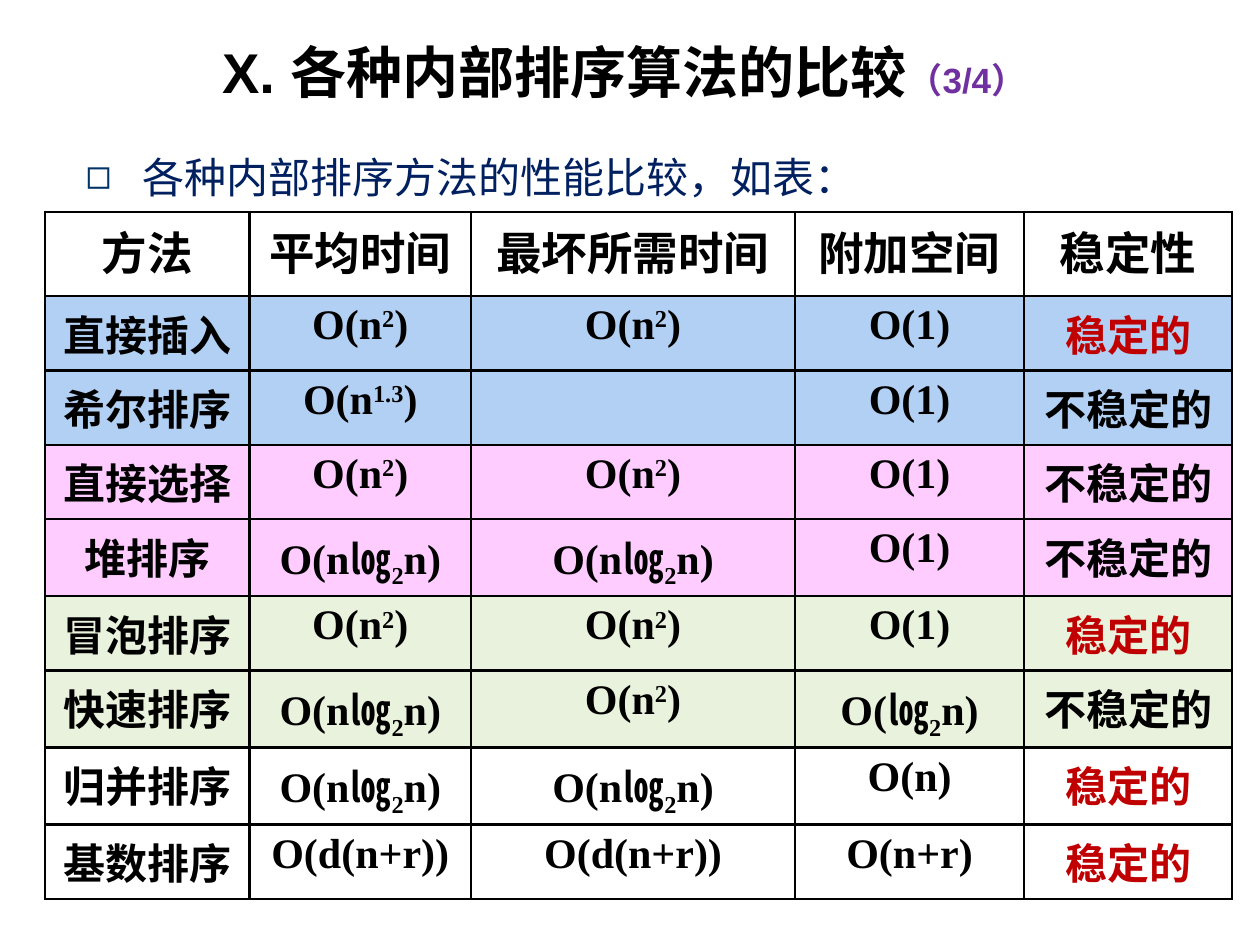
"""Build a slide with a table comparing internal sorting algorithms."""
from lxml.etree import SubElement
from pptx import Presentation
from pptx.dml.color import RGBColor
from pptx.enum.text import MSO_ANCHOR, MSO_AUTO_SIZE, PP_ALIGN
from pptx.oxml.ns import qn
from pptx.util import Inches, Pt

THEME = {
    "heading": "Arial", "cell": "Times New Roman",
    "black": "000000", "white": "FFFFFF", "purple": "7030A0", "navy": "002060",
    "bullet": "003366", "red": "C00000", "blue": "B2D0F3", "pink": "FFCCFF", "green": "E9F2DC",
    "title_size": 32, "page_size": 20, "body_size": 24, "header_size": 26, "border": 1.5,
}
BASELINES = {"^": "28000", "_": "-25000"}
N2, NLOG, ONE = "O(n|^2|)", "O(n㏒|_2|n)", "O(1)"
STABLE, UNSTABLE = "稳定的", "不稳定的"
ROWS = [
    ("white", "方法", "平均时间", "最坏所需时间", "附加空间", "稳定性"),
    ("blue", "直接插入", N2, N2, ONE, STABLE),
    ("blue", "希尔排序", "O(n|^1.3|)", "", ONE, UNSTABLE),
    ("pink", "直接选择", N2, N2, ONE, UNSTABLE),
    ("pink", "堆排序", NLOG, NLOG, ONE, UNSTABLE),
    ("green", "冒泡排序", N2, N2, ONE, STABLE),
    ("green", "快速排序", NLOG, N2, "O(㏒|_2|n)", UNSTABLE),
    ("white", "归并排序", NLOG, NLOG, "O(n)", STABLE),
    ("white", "基数排序", "O(d(n+r))", "O(d(n+r))", "O(n+r)", STABLE),
]
COL_SHARES = [16.2, 17.6, 25.7, 18.2, 16.5]
ROW_SHARES = [8.93] + [7.87] * 8


def style(font, face, size, color, bold):
    font.name, font.size, font.bold = THEME[face], Pt(THEME[size]), bold
    font.color.rgb = RGBColor.from_string(THEME[color])


def box(left, top, width, height):
    return [int(share * side / 100) for share, side in zip((left, top, width, height), (W, H, W, H))]


prs = Presentation()
prs.slide_width, prs.slide_height = W, H = Inches(10), Inches(7.5)
s = prs.slides.add_slide(prs.slide_layouts[1])
title, body = s.placeholders

title.left, title.top, title.width, title.height = box(10.8, 4, 77.5, 7.07)
tf = title.text_frame
tf.auto_size, tf.vertical_anchor = MSO_AUTO_SIZE.NONE, MSO_ANCHOR.MIDDLE
p = tf.paragraphs[0]
p.alignment = PP_ALIGN.CENTER
for text, size, color in [("X. 各种内部排序算法的比较", "title_size", "black"), ("（3/4）", "page_size", "purple")]:
    r = p.add_run()
    r.text = text
    style(r.font, "heading", size, color, True)

body.left, body.top, body.width, body.height = box(5.8, 14.27, 89.6, 79.07)
tf = body.text_frame
tf.auto_size = MSO_AUTO_SIZE.NONE
p = tf.paragraphs[0]
p.text = " 各种内部排序方法的性能比较，如表："
p.line_spacing, p.space_before = 1.2, Pt(12)
style(p.font, "heading", "body_size", "navy", False)
pPr = p._p.get_or_add_pPr()
pPr.set("marL", str(Inches(0.38)))
pPr.set("indent", str(-Inches(0.38)))
bullet_color = pPr.makeelement(qn("a:buClr"))
SubElement(bullet_color, qn("a:srgbClr"), val=THEME["bullet"])
bullet = pPr.makeelement(qn("a:buChar"), char="◻")
for el in (bullet_color, bullet):
    pPr.find(qn("a:defRPr")).addprevious(el)

table = s.shapes.add_table(len(ROWS), len(COL_SHARES), *box(3.6, 22.4, 94.2, 72)).table
table.first_row = table.horz_banding = False
for column, share in zip(table.columns, COL_SHARES):
    column.width = int(W * share / 100)
for row, share in zip(table.rows, ROW_SHARES):
    row.height = int(H * share / 100)

for i, (fill, *texts) in enumerate(ROWS):
    for j, text in enumerate(texts):
        cell = table.cell(i, j)
        tcPr = cell._tc.get_or_add_tcPr()
        for side in ("lnL", "lnR", "lnT", "lnB"):
            ln = SubElement(tcPr, qn(f"a:{side}"), w=str(Pt(THEME["border"])))
            SubElement(SubElement(ln, qn("a:solidFill")), qn("a:srgbClr"), val=THEME["black"])
        cell.fill.solid()
        cell.fill.fore_color.rgb = RGBColor.from_string(THEME[fill])
        p = cell.text_frame.paragraphs[0]
        p.alignment = PP_ALIGN.CENTER
        style(p.font, "cell", "body_size" if i else "header_size", "red" if text == STABLE else "black", True)
        spacing = p._p.pPr.makeelement(qn("a:spcBef"))
        SubElement(spacing, qn("a:spcPct"), val="20000")
        p._p.pPr.insert(0, spacing)
        for part in filter(None, text.split("|")):
            r = p.add_run()
            r.text = part.lstrip("^_")
            if part[0] in BASELINES:
                r.font._element.set("baseline", BASELINES[part[0]])

prs.save("out.pptx")
